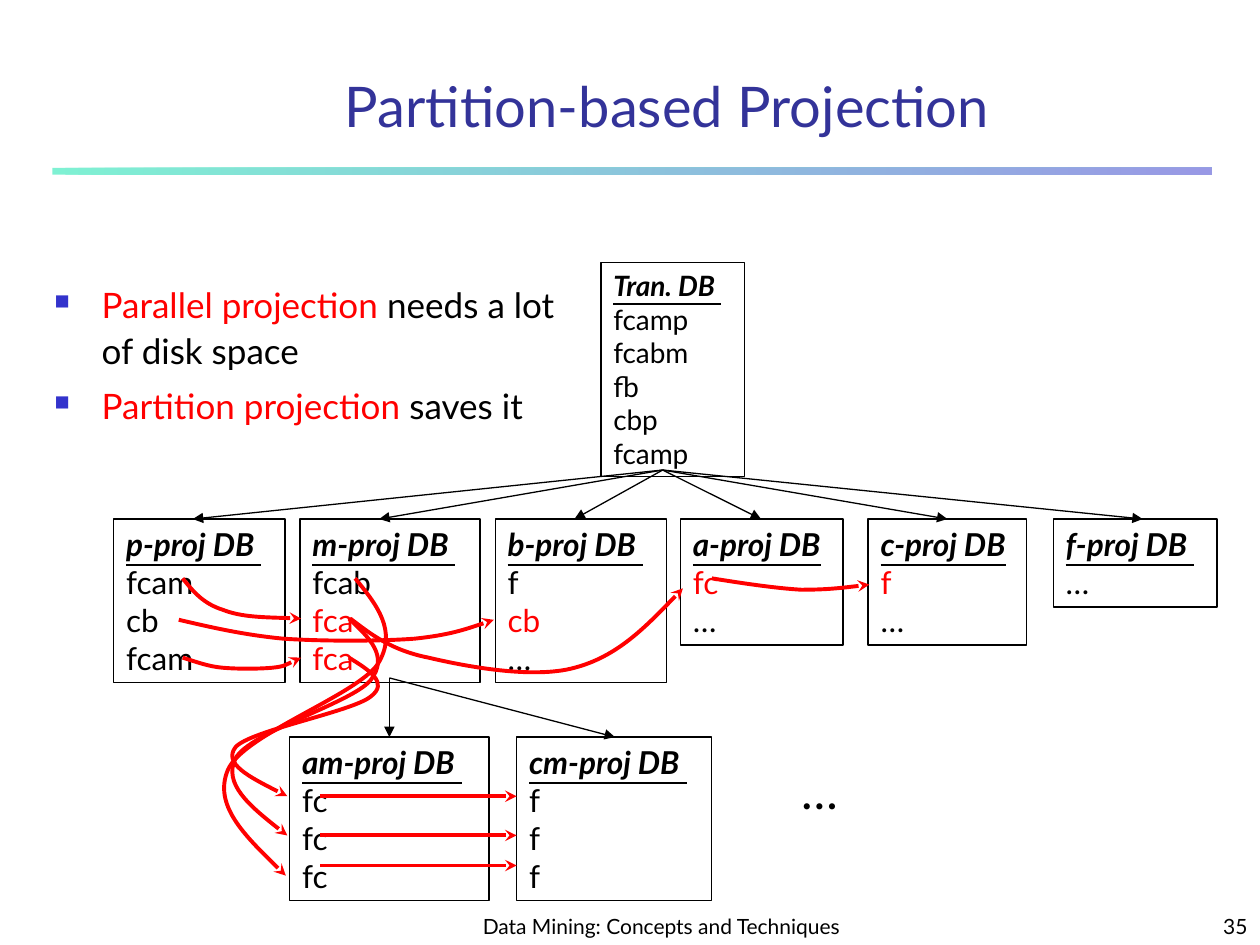
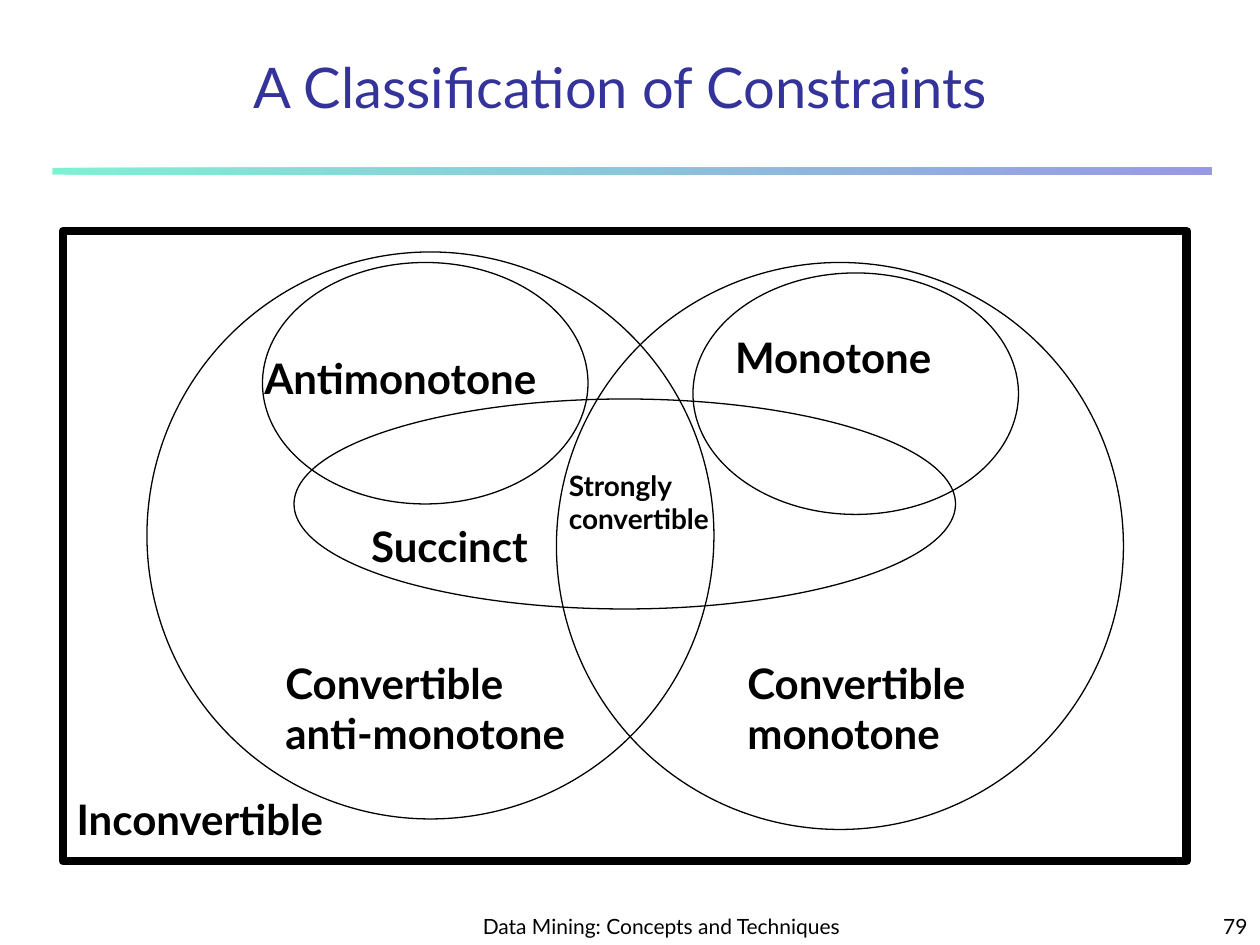
from pptx import Presentation
from pptx.dml.color import RGBColor
from pptx.enum.shapes import MSO_CONNECTOR, MSO_SHAPE
from pptx.enum.text import MSO_ANCHOR, PP_ALIGN
from pptx.oxml.ns import qn
from pptx.oxml.xmlchemy import OxmlElement
from pptx.util import Pt

RECT, OVAL, STRAIGHT = MSO_SHAPE.RECTANGLE, MSO_SHAPE.OVAL, MSO_CONNECTOR.STRAIGHT
TOP, MIDDLE, BOTTOM = MSO_ANCHOR.TOP, MSO_ANCHOR.MIDDLE, MSO_ANCHOR.BOTTOM
LEFT, CENTER, RIGHT = PP_ALIGN.LEFT, PP_ALIGN.CENTER, PP_ALIGN.RIGHT
FONT = "Lato"
BLACK, RED, NAVY, BLUE, GREEN = "000000", "FF0000", "333399", "3333CC", "00E4A8"
HEADER = {"bold": True, "italic": True, "underline": True}
TITLE = {"size": 32, "color": NAVY, "align": CENTER}
FOOTER = {"size": 12, "anchor": BOTTOM}
THIN, THICK, FRAME = 0.75, 2.25, 5
LINE_HEIGHT, PADDING = 1.2, 7.2

PROJECTIONS = [
    (0, 97.9, 45.2, "p-proj DB ", ["fcam", "cb", "fcam"], []),
    (106.4, 103, 151.7, "m-proj DB ", ["fcab", "fca", "fca"], ["fca"]),
    (218, 97.9, 263.3, "b-proj DB ", ["f", "cb", "…"], ["cb"]),
    (323.8, 92.9, 369.9, "a-proj DB", ["fc", "…"], ["fc"]),
    (431.1, 90.7, 476.4, "c-proj DB", ["f", "…"], ["f"]),
    (536.9, 93.6, 588, "f-proj DB ", ["…"], []),
]
SUB_PROJECTIONS = [
    (100.6, 113.8, 157.5, "am-proj DB ", ["fc"] * 3, []),
    (230.2, 111.6, 286.4, "cm-proj DB ", ["f"] * 3, []),
]
CURVES = [
    [(39.4, 180.5), (45.2, 187.7), (50.9, 194.9), (62.4, 198.5),
     (73.2, 202.8), (90.5, 202.8), (107.1, 203.5)],
    [(135.2, 203.5), (146.7, 212.2), (158.2, 221.5), (179.8, 225.8),
     (201.4, 230.9), (239.6, 238.1), (263.3, 231.6),
     (287.8, 225.1), (306.5, 205.7), (325.2, 186.2)],
    [(341.8, 180.5), (359.8, 183.4), (378.5, 186.2), (392.9, 187),
     (408, 187), (419.6, 185.5), (431.8, 184.1)],
    [(39.4, 225.8), (46.6, 228), (53.8, 230.9), (62.4, 231.6),
     (70.4, 232.3), (82.6, 232.3), (90.5, 231.6),
     (97.7, 230.9), (102, 228), (107.1, 225.8)],
    [(134.4, 225.8), (146, 233), (157.5, 240.2), (146.7, 248.2),
     (135.9, 256.8), (77.6, 267.6), (69.6, 277),
     (62.4, 286.3), (80.4, 295.7), (99.2, 305)],
    [(134.4, 203.5), (146, 214.3), (157.5, 225.1), (146.7, 238.8),
     (135.9, 251.8), (77.6, 268.3), (69.6, 283.4),
     (62.4, 297.8), (80.4, 313), (99.2, 327.4)],
    [(138, 180.5), (150.3, 195.6), (162.5, 210.7), (151, 229.4),
     (138.8, 247.4), (74, 269.8), (65.3, 289.9),
     (56.7, 310.1), (77.6, 330.2), (98.4, 350.4)],
    [(37.2, 204.2), (56, 208.6), (74.7, 212.9), (97, 215),
     (119.3, 216.5), (151.7, 216.5), (171.9, 215),
     (192, 212.9), (204.3, 208.6), (217.2, 204.2)],
]
SETS = [
    (48, 12, 324, 324),
    (282, 18, 324, 324),
    (132, 96, 378, 120),
    (360, 24, 186, 138),
    (114, 18, 186, 138),
]
SET_LABELS = [
    (120, 240, 194, 24, ["Convertible", "anti-monotone"]),
    (384, 240, 153, 24, ["Convertible", "monotone"]),
    (282, 132, 120, 16, ["Strongly", "convertible"]),
    (0.7, 318, 176, 24, ["Inconvertible"]),
    (169, 162, 114, 24, ["Succinct"]),
    (108, 66, 186, 24, ["Antimonotone"]),
    (377, 54, 138, 24, ["Monotone"]),
]


def rgb(value):
    """Return the colour for a hex string."""
    return RGBColor.from_string(value)


def add_run(p, text, size, color=BLACK, **style):
    """Append a formatted run to a paragraph."""
    r = p.add_run()
    r.text = text
    r.font.color.rgb = rgb(color)
    for name, value in {"name": FONT, "size": Pt(size), **style}.items():
        setattr(r.font, name, value)


def add_child(parent, tag, **attrs):
    """Append an XML element with the given attributes."""
    child = OxmlElement(tag)
    for name, value in attrs.items():
        child.set(name, value)
    parent.append(child)
    return child


def paragraphs(tf, count):
    """Return the first paragraph of a frame and as many new ones as needed."""
    return [tf.paragraphs[0]] + [tf.add_paragraph() for _ in range(count - 1)]


def text_height(lines, size):
    """Return the height of a box that holds the given number of lines."""
    return lines * size * LINE_HEIGHT + PADDING


def add_text(s, box, lines, size, color=BLACK, align=LEFT, anchor=TOP, **style):
    """Add a text box with one paragraph for each line."""
    tf = s.shapes.add_textbox(*map(Pt, box)).text_frame
    tf.word_wrap = True
    tf.vertical_anchor = anchor
    for p, line in zip(paragraphs(tf, len(lines)), lines):
        p.alignment = align
        add_run(p, line, size, color, **style)


def set_line(sp, color, width, arrow=None):
    """Set the line of a shape and its arrowhead."""
    sp.line.color.rgb = rgb(color)
    sp.line.width = Pt(width)
    if arrow:
        add_child(sp.line._get_or_add_ln(), "a:tailEnd", type=arrow)


def add_outline(s, kind, box, width=THIN):
    """Add an unfilled shape with a black line."""
    sp = s.shapes.add_shape(kind, *map(Pt, box))
    sp.shadow.inherit = False
    sp.fill.background()
    set_line(sp, BLACK, width)
    return sp


def add_arrow(s, start, end, color=BLACK, width=THIN, arrow="triangle"):
    """Add a straight arrow."""
    sp = s.shapes.add_connector(STRAIGHT, *map(Pt, (*start, *end)))
    set_line(sp, color, width, arrow)
    add_child(sp._element.spPr, "a:effectLst")


def add_curve(s, points):
    """Add a red arrow along cubic curves that share their end points."""
    vertices = [(Pt(x), Pt(y)) for x, y in points]
    builder = s.shapes.build_freeform(*vertices[0])
    builder.add_line_segments(vertices[1:], close=False)
    sp = builder.convert_to_shape()
    sp.shadow.inherit = False
    sp.fill.background()
    set_line(sp, RED, THICK, "stealth")
    outline = next(sp._element.iter(qn("a:path")))
    segments = outline.findall(qn("a:lnTo"))
    for i in range(0, len(segments), 3):
        cubic = add_child(outline, "a:cubicBezTo")
        for segment in segments[i:i + 3]:
            cubic.append(segment[0])
            outline.remove(segment)


def add_database(s, x, y, w, header, rows, red_rows, size=18):
    """Add a box with an underlined header and its transactions."""
    sp = add_outline(s, RECT, (x, y, w, text_height(len(rows) + 1, size)))
    tf = sp.text_frame
    tf.word_wrap = True
    tf.vertical_anchor = TOP
    first, *others = paragraphs(tf, len(rows) + 1)
    first.alignment = LEFT
    add_run(first, header, size, **HEADER)
    for p, row in zip(others, rows):
        p.alignment = LEFT
        add_run(p, row, size, RED if row in red_rows else BLACK)


def add_level(s, x, y, level_top, hub, databases):
    """Add a row of databases with arrows from the hub above them."""
    for left, w, tip, *content in databases:
        add_database(s, x + left, y + level_top, w, *content)
        add_arrow(s, (x + hub[0], y + hub[1]), (x + tip, y + level_top))


def add_projection_tree(s, x, y):
    """Draw the tree of projected databases from its top left corner."""
    add_database(s, x + 278.4, y, 82.1, "Tran. DB ",
                 ["fcamp", "fcabm", "fb", "cbp", "fcamp"], [], 16)
    add_level(s, x, y, 146.6, (313.7, 118.6), PROJECTIONS)
    add_level(s, x, y, 271.2, (157.5, 237.4), SUB_PROJECTIONS)
    for points in CURVES:
        add_curve(s, [(x + px, y + py) for px, py in points])
    for row in (305, 327.4, 344.6):
        add_arrow(s, (x + 117.9, y + row), (x + 230.2, y + row), RED, THICK, "stealth")
    add_text(s, (x + 385.7, y + 281.3, 36, 41), ["…"], 28)


def add_bullets(s, box, items):
    """Add bulleted paragraphs that each open with a red term."""
    tf = s.shapes.add_textbox(*map(Pt, box)).text_frame
    tf.word_wrap = True
    for i, (p, (term, rest)) in enumerate(zip(paragraphs(tf, len(items)), items)):
        p.line_spacing = 1.1
        p.space_before = Pt(5 if i else 0)
        pPr = p._p.get_or_add_pPr()
        pPr.set("marL", str(Pt(27)))
        pPr.set("indent", str(-Pt(27)))
        add_child(add_child(pPr, "a:buClr"), "a:srgbClr", val=BLUE)
        add_child(pPr, "a:buSzPct", val="60000")
        add_child(pPr, "a:buChar", char="■")
        add_run(p, term, 20, RED)
        add_run(p, rest, 20)


def add_constraint_sets(s, x, y):
    """Draw the framed diagram of overlapping constraint classes."""
    add_outline(s, RECT, (x, y, 642, 360), FRAME)
    for left, top, w, h in SETS:
        add_outline(s, OVAL, (x + left, y + top, w, h))
    for left, top, w, size, lines in SET_LABELS:
        box = (x + left, y + top, w, text_height(len(lines), size))
        add_text(s, box, lines, size, bold=True)


def add_base(prs, title, title_box, anchor, number):
    """Add a slide with the gradient band, title and footer."""
    s = prs.slides.add_slide(prs.slide_layouts[6])
    band = s.shapes.add_shape(RECT, *map(Pt, (30, 96, 662.4, 3.8)))
    band.shadow.inherit = False
    band.line.fill.background()
    band.fill.gradient()
    band.fill.gradient_angle = 0
    for stop, color in zip(band.fill.gradient_stops, (GREEN, BLUE)):
        stop.color.rgb = rgb(color)
    for color in band._element.spPr.iter(qn("a:srgbClr")):
        add_child(color, "a:alpha", val="50000")
    add_text(s, title_box, [title], anchor=anchor, **TITLE)
    add_text(s, (264, 510, 228, 30), ["Data Mining: Concepts and Techniques"],
             align=CENTER, **FOOTER)
    add_text(s, (570, 510, 150, 30), [number], align=RIGHT, **FOOTER)
    return s


def main():
    """Build both slides and save the file."""
    prs = Presentation()
    prs.slide_width, prs.slide_height = Pt(720), Pt(540)

    s = add_base(prs, "Partition-based Projection", (72, 36, 618.5, 48), MIDDLE, "35")
    add_bullets(s, (24, 156, 306, 126), [
        ("Parallel projection ", "needs a lot of disk space"),
        ("Partition projection ", "saves it"),
    ])
    add_projection_tree(s, 65, 150)

    s = add_base(prs, "A Classification of Constraints", (48, 24, 613.4, 48), BOTTOM, "79")
    add_constraint_sets(s, 36, 132)

    prs.save("out.pptx")


if __name__ == "__main__":
    main()
